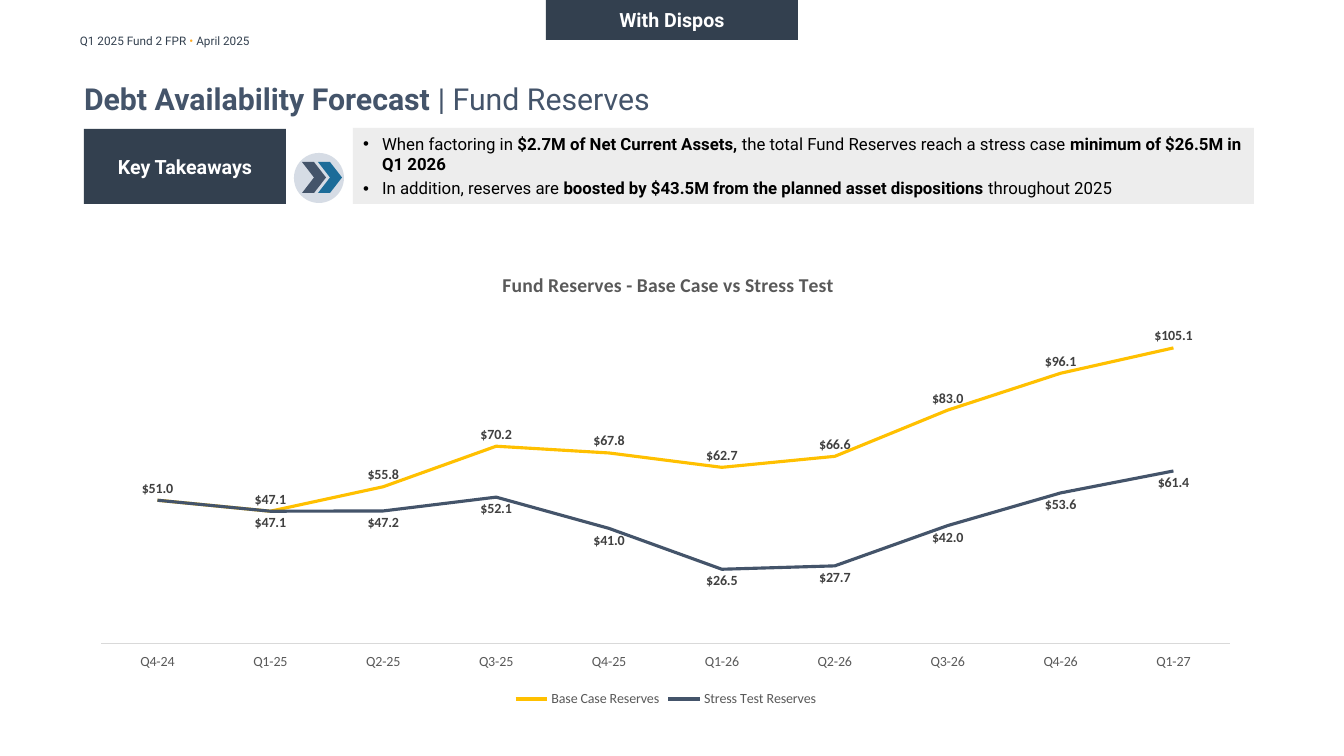
from lxml.etree import SubElement
from pptx import Presentation
from pptx.chart.data import CategoryChartData
from pptx.dml.color import RGBColor
from pptx.enum.chart import (XL_CHART_TYPE, XL_LABEL_POSITION as LABEL, XL_LEGEND_POSITION,
                             XL_MARKER_STYLE, XL_TICK_LABEL_POSITION as TICK_LABEL, XL_TICK_MARK)
from pptx.enum.shapes import MSO_SHAPE as SHAPE
from pptx.enum.text import MSO_ANCHOR, MSO_AUTO_SIZE, PP_ALIGN
from pptx.oxml import parse_xml
from pptx.oxml.ns import nsdecls, qn
from pptx.util import Pt

NAVY, SLATE, AMBER, GOLD = "33404F", "44546A", "FFAB21", "FFC000"
WHITE, BLACK, PALE, GREY = "FFFFFF", "000000", "EDEDED", "595959"

HEADER = [("Q1 2025 Fund 2 FPR ", False, NAVY), ("• ", False, AMBER), ("April 2025", False, NAVY)]
TITLE = [("Debt Availability Forecast ", True, SLATE), ("| Fund Reserves", False, SLATE)]
TAKEAWAYS = [
    [("When factoring in ", False, BLACK),
     ("$2.7M of Net Current Assets, ", True, BLACK),
     ("the total Fund Reserves reach a stress case ", False, BLACK),
     ("minimum of $26.5M in Q1 2026", True, BLACK)],
    [("In addition, reserves are ", False, BLACK),
     ("boosted by $43.5M from the planned asset dispositions ", True, BLACK),
     ("throughout 2025", False, BLACK)],
]
BANNERS = [("Key Takeaways", (84, 129, 202, 75)), ("With Dispos", (546, 0, 252, 40))]
ICON = [(SHAPE.OVAL, (294, 153, 50, 50), "D6DCE5"),
        (SHAPE.CHEVRON, (302, 162, 24, 31), SLATE),
        (SHAPE.CHEVRON, (318, 162, 24, 31), "1C6C99")]

CHART_TITLE = "Fund Reserves - Base Case vs Stress Test"
QUARTERS = ["Q4-24", "Q1-25", "Q2-25", "Q3-25", "Q4-25",
            "Q1-26", "Q2-26", "Q3-26", "Q4-26", "Q1-27"]
SERIES = [
    ("Base Case Reserves", GOLD, LABEL.ABOVE,
     [51, 47.1, 55.8, 70.2, 67.8, 62.7, 66.6, 83, 96.1, 105.1]),
    ("Stress Test Reserves", SLATE, LABEL.BELOW,
     [51, 47.1, 47.2, 52.1, 41, 26.5, 27.7, 42, 53.6, 61.4]),
]
DOLLARS = '"$"#,##0.0'
CHART_BOX = (78, 247, 1176, 464)
PLOT_BOX = (101, 306, 1129, 338)
CHART_TITLE_AT = (499, 268)


def px(n):
    """Turn slide pixels into EMU."""
    return round(n * 914400 / 100.8)


def box(values):
    """Turn a pixel box into EMU lengths."""
    return [px(v) for v in values]


def rgb(value):
    """Make a colour from a hex string."""
    return RGBColor.from_string(value)


def assign(obj, **values):
    """Set several attributes on one object."""
    for name, value in values.items():
        setattr(obj, name, value)


def style(font, size, color, bold=False, name="Roboto"):
    """Format a font."""
    assign(font, size=Pt(size), bold=bold, name=name)
    font.color.rgb = rgb(color)


def add_runs(p, runs, size):
    """Append formatted runs to a paragraph."""
    for text, bold, color in runs:
        r = p.add_run()
        r.text = text
        style(r.font, size, color, bold)


def add_shape(shapes, kind, place, color):
    """Add a flat filled shape without outline."""
    s = shapes.add_shape(kind, *box(place))
    s.shadow.inherit = False
    s.fill.solid()
    s.fill.fore_color.rgb = rgb(color)
    s.line.fill.background()
    return s


def move(s, place):
    """Move and resize a placeholder."""
    assign(s, **dict(zip(("left", "top", "width", "height"), box(place))))


def add_bullet(p):
    """Give a paragraph a hanging bullet."""
    pPr = p._p.get_or_add_pPr()
    pPr.set("marL", str(px(19)))
    pPr.set("indent", str(-px(19)))
    SubElement(pPr, qn("a:buChar"), char="•")


def set_layout(parent, place, inner=False):
    """Place a chart part by its pixel position on the slide."""
    layout = parent.find(qn("c:layout"))
    if layout is None:
        layout = parse_xml(f"<c:layout {nsdecls('c')}/>")
        parent.insert(0, layout)
    manual = SubElement(layout, qn("c:manualLayout"))
    if inner:
        SubElement(manual, qn("c:layoutTarget"), val="inner")
    for name in ("xMode", "yMode"):
        SubElement(manual, qn(f"c:{name}"), val="edge")
    left, top, width, height = CHART_BOX
    offsets = (place[0] - left, place[1] - top, *place[2:])
    for name, n, full in zip("xywh", offsets, (width, height, width, height)):
        SubElement(manual, qn(f"c:{name}"), val=f"{n / full:.4f}")


def add_text(slide):
    """Add the header, title, takeaways, banners and icon."""
    header = slide.shapes.add_textbox(*box((70, 29, 455, 24))).text_frame
    header.word_wrap = True
    add_runs(header.paragraphs[0], HEADER, 8.4)

    title, body = slide.shapes.title, slide.placeholders[1]
    move(title, (84, 60, 1111, 76))
    tf = title.text_frame
    assign(tf, margin_left=0, margin_right=0, margin_top=0, margin_bottom=0,
           vertical_anchor=MSO_ANCHOR.MIDDLE, auto_size=MSO_AUTO_SIZE.NONE)
    tf.paragraphs[0].alignment = PP_ALIGN.LEFT
    add_runs(tf.paragraphs[0], TITLE, 21.6)

    move(body, (353, 128, 901, 76))
    body.fill.solid()
    body.fill.fore_color.rgb = rgb(PALE)
    tf = body.text_frame
    assign(tf, vertical_anchor=MSO_ANCHOR.MIDDLE, auto_size=MSO_AUTO_SIZE.NONE)
    for i, runs in enumerate(TAKEAWAYS):
        p = tf.add_paragraph() if i else tf.paragraphs[0]
        add_bullet(p)
        p.space_before = Pt(3 if i else 0)
        add_runs(p, runs, 12)

    for text, place in BANNERS:
        tf = add_shape(slide.shapes, SHAPE.RECTANGLE, place, NAVY).text_frame
        tf.vertical_anchor = MSO_ANCHOR.MIDDLE
        tf.paragraphs[0].alignment = PP_ALIGN.CENTER
        add_runs(tf.paragraphs[0], [(text, True, WHITE)], 14)

    icon = slide.shapes.add_group_shape()
    for kind, place, color in ICON:
        add_shape(icon.shapes, kind, place, color)


def add_reserves_chart(slide):
    """Add the line chart of base case and stress test reserves."""
    data = CategoryChartData(number_format=DOLLARS)
    data.categories = QUARTERS
    for name, _, _, values in SERIES:
        data.add_series(name, values)
    chart = slide.shapes.add_chart(XL_CHART_TYPE.LINE, *box(CHART_BOX), data).chart
    style(chart.font, 10, BLACK, name="Calibri")

    p = chart.chart_title.text_frame.paragraphs[0]
    r = p.add_run()
    r.text = CHART_TITLE
    style(r.font, 14, GREY, True, "Calibri")
    set_layout(chart.chart_title._element, CHART_TITLE_AT)
    set_layout(chart._chartSpace.chart.plotArea, PLOT_BOX, inner=True)

    chart.has_legend = True
    assign(chart.legend, position=XL_LEGEND_POSITION.BOTTOM, include_in_layout=False)
    style(chart.legend.font, 10, GREY, name="Calibri")

    quarters, dollars = chart.category_axis, chart.value_axis
    for axis in (quarters, dollars):
        assign(axis, has_major_gridlines=False, major_tick_mark=XL_TICK_MARK.NONE,
               minor_tick_mark=XL_TICK_MARK.NONE)
    quarters.tick_label_position = TICK_LABEL.LOW
    style(quarters.tick_labels.font, 10, GREY, name="Calibri")
    quarters.format.line.color.rgb = rgb("D9D9D9")
    quarters.format.line.width = Pt(0.75)
    assign(dollars, minimum_scale=0, maximum_scale=120, major_unit=20,
           tick_label_position=TICK_LABEL.NONE)
    dollars.format.line.fill.background()

    plot = chart.plots[0]
    plot.vary_by_categories = False
    for line, (_, color, position, _) in zip(plot.series, SERIES):
        line.smooth = False
        line.marker.style = XL_MARKER_STYLE.NONE
        line.format.line.color.rgb = rgb(color)
        line.format.line.width = Pt(2.25)
        labels = line.data_labels
        assign(labels, show_value=True, position=position, number_format=DOLLARS,
               number_format_is_linked=False)
        style(labels.font, 10, "404040", True, "Calibri")
    labels._element.insert(0, parse_xml(
        f'<c:dLbl {nsdecls("c")}><c:idx val="0"/><c:delete val="1"/></c:dLbl>'))


def main():
    """Build and save the slide."""
    prs = Presentation()
    assign(prs, slide_width=px(1344), slide_height=px(756))
    slide = prs.slides.add_slide(prs.slide_layouts[1])
    add_text(slide)
    add_reserves_chart(slide)
    prs.save("out.pptx")


if __name__ == "__main__":
    main()
